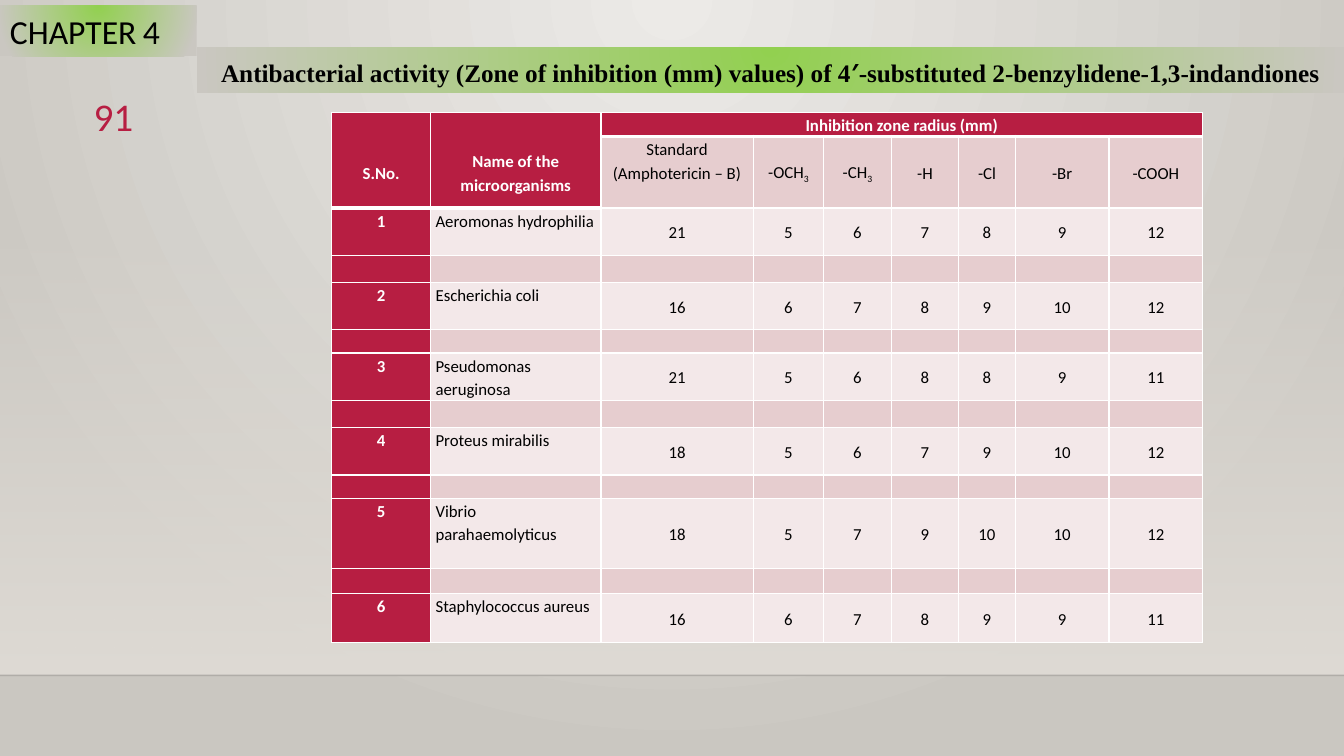
from lxml import etree
from pptx import Presentation
from pptx.dml.color import RGBColor
from pptx.enum.shapes import MSO_CONNECTOR, MSO_SHAPE
from pptx.enum.text import MSO_ANCHOR, MSO_AUTO_SIZE, PP_ALIGN
from pptx.oxml.ns import qn
from pptx.util import Inches, Pt

LEFT, CENTER, RIGHT = PP_ALIGN.LEFT, PP_ALIGN.CENTER, PP_ALIGN.RIGHT
TOP, MIDDLE = MSO_ANCHOR.TOP, MSO_ANCHOR.MIDDLE
RECT, STRAIGHT = MSO_SHAPE.RECTANGLE, MSO_CONNECTOR.STRAIGHT
TITLE_ONLY = 5
COLORS = {
    "crimson": "B71E42", "pink": "E6CDCF", "blush": "F3E8E9",
    "green": "92D050", "pale": "ECEAE7", "stone": "CAC7C1",
    "floor": "DFDBD5", "black": "000000", "white": "FFFFFF",
}
COL_WIDTHS = [0.98, 1.69, 1.51, 0.7, 0.67, 0.67, 0.56, 0.93, 0.93]
ROW_HEIGHTS = [0.23, 0.71, 0.47, 0.27, 0.47, 0.23, 0.47, 0.27, 0.47, 0.23, 0.7, 0.25, 0.48]
SUBSTITUENTS = [("-OCH", "3"), ("-CH", "3"), ("-H",), ("-Cl",), ("-Br",), ("-COOH",)]
ORGANISMS = [
    ("Aeromonas hydrophilia", 21, 5, 6, 7, 8, 9, 12),
    ("Escherichia coli", 16, 6, 7, 8, 9, 10, 12),
    ("Pseudomonas aeruginosa", 21, 5, 6, 8, 8, 9, 11),
    ("Proteus mirabilis", 18, 5, 6, 7, 9, 10, 12),
    ("Vibrio parahaemolyticus", 18, 5, 7, 9, 10, 10, 12),
    ("Staphylococcus aureus", 16, 6, 7, 8, 9, 9, 11),
]


def set_gradient(fill, start, end, linear=False):
    fill.gradient()
    grad = fill._xPr.find(qn("a:gradFill"))
    for child in list(grad):
        grad.remove(child)
    stops = etree.SubElement(grad, qn("a:gsLst"))
    for pos, name in (("0", start), ("100000", end)):
        stop = etree.SubElement(stops, qn("a:gs"), pos=pos)
        color = etree.SubElement(stop, qn("a:srgbClr"), val=COLORS[name])
        if linear and pos == "0":
            etree.SubElement(color, qn("a:alpha"), val="0")
    if linear:
        etree.SubElement(grad, qn("a:lin"), ang="5400000", scaled="0")
    else:
        circle = etree.SubElement(grad, qn("a:path"), path="circle")
        etree.SubElement(circle, qn("a:fillToRect"), l="43000", t="0", r="43000", b="100000")


def add_run(p, text, size, color="black", bold=False, font="Calibri"):
    r = p.add_run()
    r.text = text
    r.font.size = Pt(size)
    r.font.name = font
    r.font.bold = bold
    r.font.color.rgb = RGBColor.from_string(COLORS[color])
    return r


def add_backdrop(slide, left, top, width, height):
    set_gradient(slide.background.fill, "pale", "stone")
    sp = slide.shapes.add_shape(RECT, Inches(left), Inches(top), Inches(width), Inches(height))
    sp.shadow.inherit = False
    sp.line.fill.background()
    set_gradient(sp.fill, "floor", "floor", linear=True)
    bottom = Inches(top + height)
    edge = slide.shapes.add_connector(STRAIGHT, Inches(left), bottom, Inches(left + width), bottom)
    edge.line.width = Pt(1)
    edge.line.color.rgb = RGBColor.from_string(COLORS["black"])
    color = edge.line._ln.find(".//" + qn("a:srgbClr"))
    etree.SubElement(color, qn("a:alpha"), val="20000")
    etree.SubElement(edge._element.spPr, qn("a:effectLst"))


def add_title(slide, left, top, width, height):
    sp = slide.shapes.title
    slide.shapes._spTree.append(sp._element)
    sp.left, sp.top, sp.width, sp.height = map(Inches, (left, top, width, height))
    set_gradient(sp.fill, "green", "stone")
    tf = sp.text_frame
    tf.word_wrap = True
    tf.auto_size = MSO_AUTO_SIZE.NONE
    tf.vertical_anchor = TOP
    p = tf.paragraphs[0]
    p.alignment = CENTER
    p.line_spacing = 1.15
    for text, font in (
        ("Antibacterial activity (Zone of inhibition (mm) values) of 4", "Times New Roman"),
        ("′", "Calibri"),
        ("-substituted 2-benzylidene-1,3-indandiones", "Times New Roman"),
    ):
        add_run(p, text, 18, bold=True, font=font)


def add_chapter_tag(slide, left, top, width, height):
    sp = slide.shapes.add_shape(RECT, Inches(left), Inches(top), Inches(width), Inches(height))
    sp.shadow.inherit = False
    sp.line.fill.background()
    set_gradient(sp.fill, "green", "stone")
    tf = sp.text_frame
    tf.word_wrap = False
    tf.vertical_anchor = TOP
    p = tf.paragraphs[0]
    p.alignment = LEFT
    for text, size in (("CHAPTER", 24), (" ", 20), ("4", 24)):
        add_run(p, text, size)


def add_page_number(slide, left, top, width, height):
    sp = slide.shapes.add_textbox(Inches(left), Inches(top), Inches(width), Inches(height))
    tf = sp.text_frame
    tf.word_wrap = True
    p = tf.paragraphs[0]
    p.alignment = RIGHT
    add_run(p, "91", 28, "crimson")


def style_cell(cell, fill, thick_top, thick_bottom):
    cell.margin_left = cell.margin_right = Inches(0.05)
    cell.margin_top = cell.margin_bottom = 0
    cell.fill.solid()
    cell.fill.fore_color.rgb = RGBColor.from_string(COLORS[fill])
    tc_pr = cell._tc.get_or_add_tcPr()
    widths = {"lnL": 1, "lnR": 1, "lnT": 3 if thick_top else 1, "lnB": 3 if thick_bottom else 1}
    for i, (side, width) in enumerate(widths.items()):
        ln = etree.Element(qn("a:" + side), w=str(Pt(width)))
        solid = etree.SubElement(ln, qn("a:solidFill"))
        etree.SubElement(solid, qn("a:srgbClr"), val=COLORS["white"])
        tc_pr.insert(i, ln)


def write_cell(cell, lines, align=CENTER, anchor=MIDDLE, header=False):
    cell.vertical_anchor = anchor
    tf = cell.text_frame
    for i, line in enumerate(lines):
        p = tf.paragraphs[0] if i == 0 else tf.add_paragraph()
        p.alignment = align
        p.line_spacing = 1.15
        for j, text in enumerate(line):
            r = add_run(p, text, 12, "white" if header else "black", header)
            if j:
                r.font._element.set("baseline", "-25000")


def add_inhibition_table(slide, left, top, width, height):
    frame = slide.shapes.add_table(len(ROW_HEIGHTS), len(COL_WIDTHS), Inches(left),
                                   Inches(top), Inches(width), Inches(height))
    table = frame.table
    table.first_row = table.horz_banding = False
    for col, col_width in zip(table.columns, COL_WIDTHS):
        col.width = Inches(col_width)
    for row, row_height in zip(table.rows, ROW_HEIGHTS):
        row.height = Inches(row_height)

    for r, row in enumerate(table.rows):
        for c, cell in enumerate(row.cells):
            header = r == 0 or c == 0 or (r == 1 and c == 1)
            fill = "crimson" if header else "pink" if r % 2 else "blush"
            thick_top = r == (2 if c < 2 else 1)
            thick_bottom = r == 0 or (r == 1 and c < 2)
            style_cell(cell, fill, thick_top, thick_bottom)
            if r > 1 and r % 2:
                cell.text_frame.paragraphs[0]._p.get_or_add_endParaRPr().set("sz", "1000")

    number, name, radius = (table.cell(0, c) for c in range(3))
    number.merge(table.cell(1, 0))
    name.merge(table.cell(1, 1))
    radius.merge(table.cell(0, len(COL_WIDTHS) - 1))
    number.margin_top = Inches(0.47)
    name.margin_top = Inches(0.23)
    write_cell(number, [("S.No.",)], anchor=TOP, header=True)
    write_cell(name, [("Name of the microorganisms",)], header=True)
    write_cell(radius, [("Inhibition zone radius (mm)",)], anchor=TOP, header=True)
    write_cell(table.cell(1, 2), [("Standard",), ("(Amphotericin – B)",)], anchor=TOP)
    for c, group in enumerate(SUBSTITUENTS, 3):
        write_cell(table.cell(1, c), [group])

    for i, (organism, *radii) in enumerate(ORGANISMS, 1):
        write_cell(table.cell(2 * i, 0), [(str(i),)], anchor=TOP, header=True)
        write_cell(table.cell(2 * i, 1), [(organism,)], LEFT, TOP)
        for c, value in enumerate(radii, 2):
            write_cell(table.cell(2 * i, c), [(str(value),)])


def main():
    prs = Presentation()
    prs.slide_width, prs.slide_height = Inches(13.33), Inches(7.5)
    slide = prs.slides.add_slide(prs.slide_layouts[TITLE_ONLY])
    add_backdrop(slide, 0, 2.21, 13.33, 4.49)
    add_inhibition_table(slide, 3.29, 1.12, sum(COL_WIDTHS), sum(ROW_HEIGHTS))
    add_title(slide, 1.95, 0.47, 11.38, 0.45)
    add_chapter_tag(slide, 0, 0.06, 1.95, 0.5)
    add_page_number(slide, 0.53, 0.87, 0.89, 0.55)
    prs.save("out.pptx")


if __name__ == "__main__":
    main()
